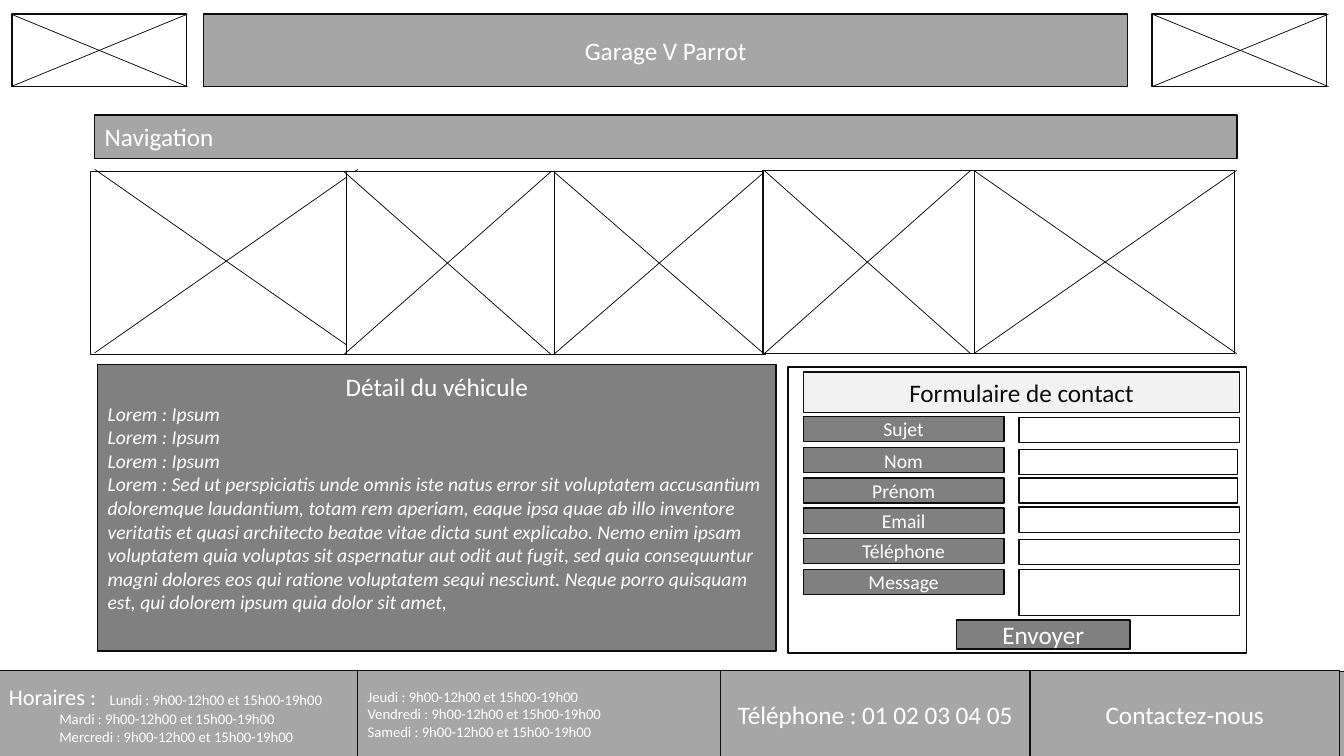
from pptx import Presentation
from pptx import util as u
from pptx.dml.color import RGBColor
from pptx.enum import shapes, text
from pptx.oxml.ns import qn
from lxml import etree

FONT = "Calibri"
INK = RGBColor(0x0D, 0x0D, 0x0D)
BLACK = RGBColor(0, 0, 0)
WHITE = RGBColor(0xFF, 0xFF, 0xFF)
PALE = RGBColor(0xF2, 0xF2, 0xF2)
LIGHT = RGBColor(0xA6, 0xA6, 0xA6)
DARK = RGBColor(0x80, 0x80, 0x80)
LEFT, CENTER = text.PP_ALIGN.LEFT, text.PP_ALIGN.CENTER

TITLE = ("Garage V Parrot", (145.4, 10.1, 660.2, 51.8))
NAVIGATION = ("Navigation", (67.7, 82.1, 815.8, 31))

LOGOS = [
    ((8.6, 10.1, 124.6, 51.8), (7.9, 10.1, 126, 51.8)),
    ((823, 10.1, 124.6, 51.8), (823, 10.1, 126, 51.8)),
]
GALLERY = [
    ((64.8, 122.4, 185.8, 131), (67.7, 121, 187.9, 131)),
    ((247.7, 122.4, 148.3, 131), (245.5, 122.4, 148.3, 131)),
    ((396, 122.4, 150.5, 131), (395.3, 122.4, 151.2, 131)),
    ((545, 121.7, 151.9, 131), (545.8, 121.7, 147.6, 131)),
    ((696.2, 121.7, 185.8, 131), (695.5, 121.7, 187.9, 131)),
]

DETAIL_BOX = (69.8, 260.6, 484.6, 204.5)
DETAIL_TITLE = "Détail du véhicule"
DETAIL_LINES = ["Lorem : Ipsum"] * 3 + [
    "Lorem : Sed ut perspiciatis unde omnis iste natus error sit voluptatem "
    "accusantium doloremque laudantium, totam rem aperiam, eaque ipsa quae ab "
    "illo inventore veritatis et quasi architecto beatae vitae dicta sunt "
    "explicabo. Nemo enim ipsam voluptatem quia voluptas sit aspernatur aut odit "
    "aut fugit, sed quia consequuntur magni dolores eos qui ratione voluptatem "
    "sequi nesciunt. Neque porro quisquam est, qui dolorem ipsum quia dolor sit "
    "amet,",
]

FORM_BOX = (563, 262.1, 327.6, 204.5)
FORM_TITLE = ("Formulaire de contact", (573.8, 265.7, 311.8, 28.8))
FORM_BUTTON = ("Envoyer", (683.3, 442.8, 123.8, 20.9))
LABEL_X, LABEL_W, LABEL_H = 573.8, 143.3, 18
FIELD_X = 727.9
FORM_ROWS = [
    ("Sujet", 297.4, 298.1, 157.7, 18),
    ("Nom", 319.7, 321.1, 156.2, 18),
    ("Prénom", 341.3, 341.3, 156.2, 18),
    ("Email", 362.9, 362.2, 157.7, 18),
    ("Téléphone", 384.5, 385.2, 157.7, 18),
    ("Message", 406.8, 406.8, 157.7, 33.1),
]

FOOTER_Y, FOOTER_H = 478.8, 62.6
FOOTER_BACK = (-0.7, 479.5, 961.2, 62.6)
FOOTER = [
    (-0.7, 259.2, LEFT, [
        [("Horaires :", 16), ("\tLundi : 9h00-12h00 et 15h00-19h00", 10.5)],
        [("\tMardi : 9h00-12h00 et 15h00-19h00", 10.5)],
        [("\tMercredi : 9h00-12h00 et 15h00-19h00", 10.5)],
    ]),
    (514.8, 221, CENTER, [[("Téléphone : 01 02 03 04 05", 18)]]),
    (735.8, 221, CENTER, [[("Contactez-nous", 18)]]),
    (255.6, 259.2, LEFT, [
        [("Jeudi : 9h00-12h00 et 15h00-19h00", 10.5)],
        [("Vendredi : 9h00-12h00 et 15h00-19h00", 10.5)],
        [("Samedi : 9h00-12h00 et 15h00-19h00", 10.5)],
    ]),
]

prs = Presentation()
prs.slide_width, prs.slide_height = u.Pt(960), u.Pt(540)
s = prs.slides.add_slide(prs.slide_layouts[6])


def add_box(box, fill=None):
    sp = s.shapes.add_shape(shapes.MSO_SHAPE.RECTANGLE, *map(u.Pt, box))
    sp.shadow.inherit = False
    if fill is None:
        sp.fill.background()
    else:
        sp.fill.solid()
        sp.fill.fore_color.rgb = fill
    sp.line.color.rgb = INK
    sp.line.width = u.Pt(1)
    tf = sp.text_frame
    tf.word_wrap = True
    tf.vertical_anchor = text.MSO_ANCHOR.MIDDLE
    return sp


def write(sp, paragraphs, align=CENTER, color=WHITE):
    tf = sp.text_frame
    for i, runs in enumerate(paragraphs):
        p = tf.paragraphs[0] if i == 0 else tf.add_paragraph()
        p.alignment = align
        for words, size in runs:
            r = p.add_run()
            r.text = words
            r.font.name = FONT
            r.font.size = u.Pt(size)
            r.font.color.rgb = color


def add_label(words, box, fill, size=18, align=CENTER, color=WHITE):
    write(add_box(box, fill), [[(words, size)]], align, color)


def add_frame(box, cross):
    add_box(box, WHITE)
    x, y, w, h = cross
    for y1, y2 in ((y, y + h), (y + h, y)):
        c = s.shapes.add_connector(shapes.MSO_CONNECTOR.STRAIGHT,
                                   *map(u.Pt, (x, y1, x + w, y2)))
        c.line.color.rgb = BLACK
        c.line.width = u.Pt(0.5)
        etree.SubElement(c.element.spPr, qn("a:effectLst"))


add_label(*TITLE, LIGHT)
add_label(*NAVIGATION, LIGHT, align=LEFT)
for box, cross in LOGOS + GALLERY:
    add_frame(box, cross)

detail = add_box(DETAIL_BOX, DARK)
detail.text_frame.margin_bottom = u.Pt(25.6)
write(detail, [[(DETAIL_TITLE, 18)]] + [[(line, 14)] for line in DETAIL_LINES])
for p in detail.text_frame.paragraphs[1:]:
    p.alignment = LEFT
    p.runs[0].font.italic = True

add_box(FORM_BOX)
add_label(*FORM_TITLE, PALE, color=INK)
for label, label_y, field_y, field_w, field_h in FORM_ROWS:
    add_label(label, (LABEL_X, label_y, LABEL_W, LABEL_H), DARK, 14)
    add_box((FIELD_X, field_y, field_w, field_h), WHITE)
add_label(*FORM_BUTTON, DARK)

add_box(FOOTER_BACK, LIGHT)
for x, w, align, paragraphs in FOOTER:
    write(add_box((x, FOOTER_Y, w, FOOTER_H), LIGHT), paragraphs, align)

prs.save("out.pptx")
